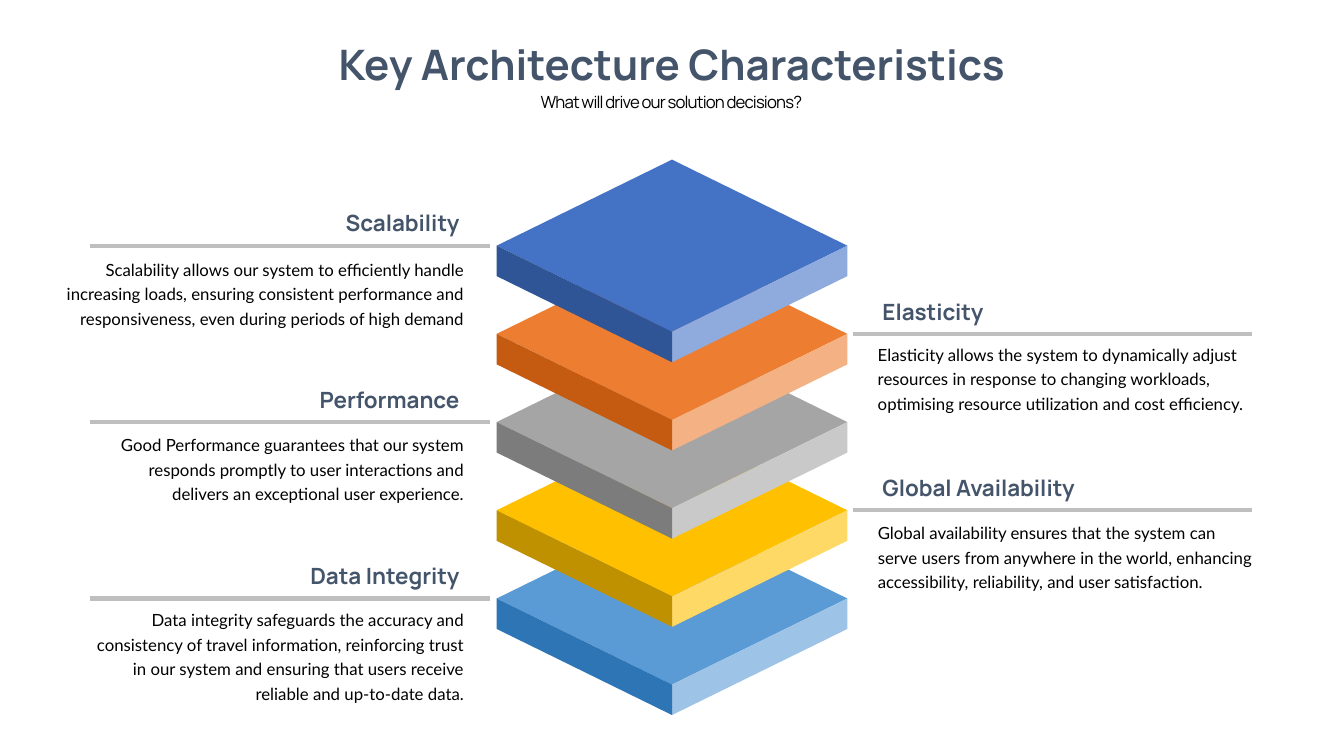
from lxml import etree
from pptx import Presentation
from pptx import util as u
from pptx.dml.color import RGBColor
from pptx.enum import shapes, text
from pptx.oxml.ns import qn

PX = 9525  # EMU per px, 96 px to the inch

theme = {
    "title": dict(font="Manrope", size=30, color="44546A", bold=True),
    "subtitle": dict(font="Manrope", size=12, color="000000", bold=False),
    "heading": dict(font="Manrope", size=16, color="44546A", bold=True),
    "body": dict(font="Lato", size=12, color="000000", bold=False),
    "rule": "BFBFBF",
    # top face, right face, left face, from the top layer down
    "layers": [
        ("4472C4", "8FAADC", "2F5597"),
        ("ED7D31", "F4B183", "C55A11"),
        ("A5A5A5", "C9C9C9", "7C7C7C"),
        ("FFC000", "FFD966", "BF9000"),
        ("5B9BD5", "9DC3E6", "2E75B6"),
    ],
}
LEFT, CENTER, RIGHT = text.PP_ALIGN.LEFT, text.PP_ALIGN.CENTER, text.PP_ALIGN.RIGHT

presentation = Presentation()
presentation.slide_width, presentation.slide_height = 1280 * PX, 720 * PX
slide = presentation.slides.add_slide(presentation.slide_layouts[6])


def add_text(words, style, left, top, width, height, align, wrap=False):
    box = slide.shapes.add_textbox(left * PX, top * PX, width * PX, height * PX)
    frame = box.text_frame
    frame.text = words
    frame.word_wrap = wrap
    frame.auto_size = text.MSO_AUTO_SIZE.SHAPE_TO_FIT_TEXT
    paragraph = frame.paragraphs[0]
    paragraph.alignment = align
    font = paragraph.runs[0].font
    font.name, font.size, font.bold = style["font"], u.Pt(style["size"]), style["bold"]
    font.color.rgb = RGBColor.from_string(style["color"])
    return frame


def add_face(layer, points, color):
    builder = layer.shapes.build_freeform(*points[0], scale=PX)
    builder.add_line_segments(points[1:], close=True)
    face = builder.convert_to_shape()
    face.shadow.inherit = False
    face.fill.solid()
    face.fill.fore_color.rgb = RGBColor.from_string(color)
    face.line.fill.background()


# Title and subtitle
add_text("Key Architecture Characteristics", theme["title"], 290, 32, 700, 59, CENTER)
subtitle = add_text("What will drive our solution decisions?", theme["subtitle"],
                    493, 83, 293, 29, CENTER)
subtitle.paragraphs[0].runs[0].font._element.set("spc", "-60")

# Stack of slabs, drawn from the bottom up
MIDDLE, HALF_WIDTH, HALF_HEIGHT, THICKNESS = 640, 167, 82, 29
FIRST_EDGE, PITCH = 234, 84
west, east = MIDDLE - HALF_WIDTH, MIDDLE + HALF_WIDTH
for index, (top_color, right_color, left_color) in reversed(list(enumerate(theme["layers"]))):
    edge = FIRST_EDGE + index * PITCH
    front = edge + HALF_HEIGHT
    layer = slide.shapes.add_group_shape()
    add_face(layer, [(MIDDLE, edge - HALF_HEIGHT), (east, edge), (MIDDLE, front), (west, edge)],
             top_color)
    for side, color in ((east, right_color), (west, left_color)):
        add_face(layer, [(side, edge), (side, edge + THICKNESS),
                         (MIDDLE, front + THICKNESS), (MIDDLE, front)], color)

# Characteristics: heading, heading width, body, body width, body gap below the rule
characteristics = [
    ("Scalability", 137,
     "Scalability allows our system to efficiently handle increasing loads, ensuring "
     "consistent performance and responsiveness, even during periods of high demand", 389, 6),
    ("Elasticity", 121,
     "Elasticity allows the system to dynamically adjust resources in response to changing "
     "workloads, optimising resource utilization and cost efficiency.", 363, 3),
    ("Performance", 164,
     "Good Performance guarantees that our system responds promptly to user interactions "
     "and delivers an exceptional user experience.", 345, 5),
    ("Global Availability", 224,
     "Global availability ensures that the system can serve users from anywhere in the "
     "world, enhancing accessibility, reliability, and user satisfaction.", 372, 5),
    ("Data Integrity", 173,
     "Data integrity safeguards the accuracy and consistency of travel information, "
     "reinforcing trust in our system and ensuring that users receive reliable and "
     "up-to-date data.", 361, 4),
]
LEFT_TEXT_END, RIGHT_TEXT_START = 447, 831
for index, (heading, heading_width, body, body_width, gap) in enumerate(characteristics):
    edge = FIRST_EDGE + index * PITCH
    on_left = index % 2 == 0
    align = LEFT
    rule_start, rule_end = 812, 1192
    heading_left = body_left = RIGHT_TEXT_START
    if on_left:
        align = RIGHT
        rule_start, rule_end = 86, 467
        heading_left = LEFT_TEXT_END - heading_width
        body_left = LEFT_TEXT_END - body_width

    # Rule level with the slab's edge
    rule = slide.shapes.add_connector(shapes.MSO_CONNECTOR.STRAIGHT,
                                      rule_start * PX, edge * PX, rule_end * PX, edge * PX)
    rule.line.color.rgb = RGBColor.from_string(theme["rule"])
    rule.line.width = u.Pt(3)
    etree.SubElement(rule._element.spPr, qn("a:effectLst"))

    # Heading above the rule, description below it
    frame = add_text(heading, theme["heading"], heading_left, edge - 39, heading_width, 35, align)
    frame.vertical_anchor = text.MSO_ANCHOR.BOTTOM
    frame = add_text(body, theme["body"], body_left, edge + gap, body_width, 75, align, wrap=True)
    frame.margin_left = frame.margin_right = 5 * PX
    frame.margin_top = frame.margin_bottom = 3 * PX
    frame.paragraphs[0].line_spacing = u.Pt(17.5)

presentation.save("out.pptx")
